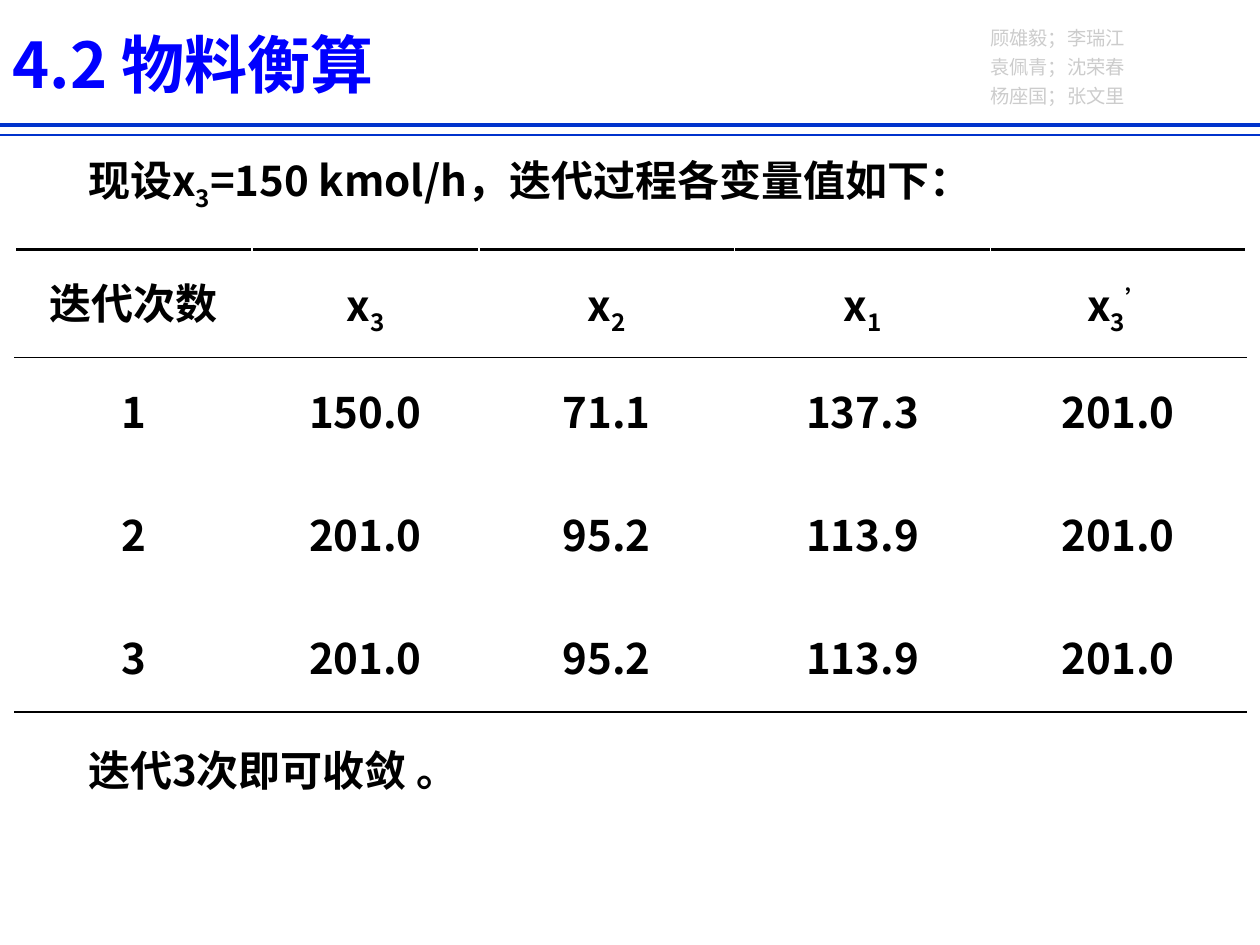
from dataclasses import dataclass

from lxml import etree
from pptx import Presentation
from pptx import util as u
from pptx.dml.color import RGBColor
from pptx.enum import shapes, text
from pptx.oxml.ns import qn


@dataclass(frozen=True)
class Theme:
    font: str = "Noto Sans CJK SC"
    title_color: str = "0000FF"
    rule_color: str = "0033CC"
    names_color: str = "CCCCCC"
    ink: str = "000000"
    paper: str = "FFFFFF"
    title_size: float = 36
    body_size: float = 24
    names_size: float = 11


THEME = Theme()
SLIDE_W, SLIDE_H = 10, 7.5
SUB, SUPER = -25, 30

AUTHORS = ["顾雄毅；李瑞江", "袁佩青；沈荣春", "杨座国；张文里"]
ASSUMPTION = [("现设x", 0), ("3", SUB), ("=150 kmol/h，迭代过程各变量值如下：", 0)]
CONCLUSION = [("迭代3次即可收敛 。", 0)]
HEADINGS = [
    [("迭代次数", 0)],
    [("x", 0), ("3", SUB)],
    [("x", 0), ("2", SUB)],
    [("x", 0), ("1", SUB)],
    [("x", 0), ("3", SUB), ("’", SUPER)],
]
ITERATIONS = [
    ("1", "150.0", "71.1", "137.3", "201.0"),
    ("2", "201.0", "95.2", "113.9", "201.0"),
    ("3", "201.0", "95.2", "113.9", "201.0"),
]
COLUMN_WIDTHS = [1.88, 1.8, 2.03, 2.03, 2.03]
ROW_HEIGHTS = [0.86, 0.98, 0.98, 0.85]


def add_runs(paragraph, pieces, size, color, bold=True):
    """Add (wording, baseline shift in percent) pieces as separate runs."""
    for wording, shift in pieces:
        run = paragraph.add_run()
        run.text = wording
        font = run.font
        font.size, font.bold, font.name = u.Pt(size), bold, THEME.font
        font.color.rgb = RGBColor.from_string(color)
        properties = run._r.get_or_add_rPr()
        etree.SubElement(properties, qn("a:ea"), typeface=THEME.font)
        if shift:
            properties.set("baseline", str(shift * 1000))


def add_text_frame(slide, left, top, width, height):
    box = slide.shapes.add_textbox(*map(u.Inches, (left, top, width, height)))
    box.text_frame.word_wrap = True
    return box.text_frame


def add_title(slide):
    title = slide.shapes.title
    title.left, title.top = 0, u.Inches(0.15)
    title.width, title.height = u.Inches(SLIDE_W), u.Inches(0.71)
    title.text_frame.vertical_anchor = text.MSO_ANCHOR.MIDDLE
    heading = title.text_frame.paragraphs[0]
    heading.alignment = text.PP_ALIGN.LEFT
    add_runs(heading, [("4.2 物料衡算", 0)], THEME.title_size, THEME.title_color)


def add_authors(slide):
    frame = add_text_frame(slide, 7.76, 0.11, 1.42, 0.77)
    for index, names in enumerate(AUTHORS):
        line = frame.add_paragraph() if index else frame.paragraphs[0]
        line.alignment = text.PP_ALIGN.JUSTIFY
        line.line_spacing = u.Pt(16.6)
        add_runs(line, [(names, 0)], THEME.names_size, THEME.names_color, bold=False)


def add_rule(slide, y, weight):
    rule = slide.shapes.add_connector(
        shapes.MSO_CONNECTOR.STRAIGHT, 0, u.Inches(y), u.Inches(SLIDE_W), u.Inches(y))
    rule.line.color.rgb = RGBColor.from_string(THEME.rule_color)
    rule.line.width = u.Pt(weight)
    etree.SubElement(rule._element.spPr, qn("a:effectLst"))


def add_statements(slide):
    """Put one statement above the table and one below it."""
    frame = add_text_frame(slide, 0, 1.23, 9.88, 5.2)
    frame.margin_left, frame.margin_top = u.Inches(0.7), 0
    assumption = frame.paragraphs[0]
    add_runs(assumption, ASSUMPTION, THEME.body_size, THEME.ink)
    conclusion = frame.add_paragraph()
    conclusion.space_before = u.Pt(304)
    add_runs(conclusion, CONCLUSION, THEME.body_size, THEME.ink)


def set_border(cell, side, color, weight):
    border = etree.SubElement(
        cell._tc.get_or_add_tcPr(), qn(f"a:ln{side}"), w=str(u.Pt(weight)))
    fill = etree.SubElement(border, qn("a:solidFill"))
    etree.SubElement(fill, qn("a:srgbClr"), val=color)


def style_cell(cell, above, below):
    """Border the cell, then fill it: the schema wants that order."""
    blank = (THEME.paper, 1)
    for side, border in zip("LRTB", (blank, blank, above, below)):
        set_border(cell, side, *border)
    cell.fill.solid()
    cell.fill.fore_color.rgb = RGBColor.from_string(THEME.paper)


def add_iteration_table(slide):
    rows = [HEADINGS] + [[[(value, 0)] for value in row] for row in ITERATIONS]
    frame = slide.shapes.add_table(
        len(rows), len(HEADINGS), u.Inches(0.12), u.Inches(1.98),
        u.Inches(sum(COLUMN_WIDTHS)), u.Inches(sum(ROW_HEIGHTS)))
    table = frame.table
    table.first_row = table.horz_banding = False
    for column, width in zip(table.columns, COLUMN_WIDTHS):
        column.width = u.Inches(width)
    for row, height in zip(table.rows, ROW_HEIGHTS):
        row.height = u.Inches(height)

    thick, thin, blank = (THEME.ink, 1.5), (THEME.ink, 0.5), (THEME.paper, 1)
    edges = [thick, thin, blank, blank, thick]
    for r, row in enumerate(rows):
        for c, pieces in enumerate(row):
            cell = table.cell(r, c)
            style_cell(cell, edges[r], edges[r + 1])
            paragraph = cell.text_frame.paragraphs[0]
            paragraph.alignment = text.PP_ALIGN.CENTER
            paragraph.line_spacing = 1.25
            add_runs(paragraph, pieces, THEME.body_size, THEME.ink)


def main():
    deck = Presentation()
    deck.slide_width, deck.slide_height = u.Inches(SLIDE_W), u.Inches(SLIDE_H)
    slide = deck.slides.add_slide(deck.slide_layouts.get_by_name("Title Only"))
    add_authors(slide)
    add_rule(slide, 0.99, 2.25)
    add_rule(slide, 1.07, 1)
    add_statements(slide)
    add_iteration_table(slide)
    add_title(slide)
    deck.save("out.pptx")


if __name__ == "__main__":
    main()
